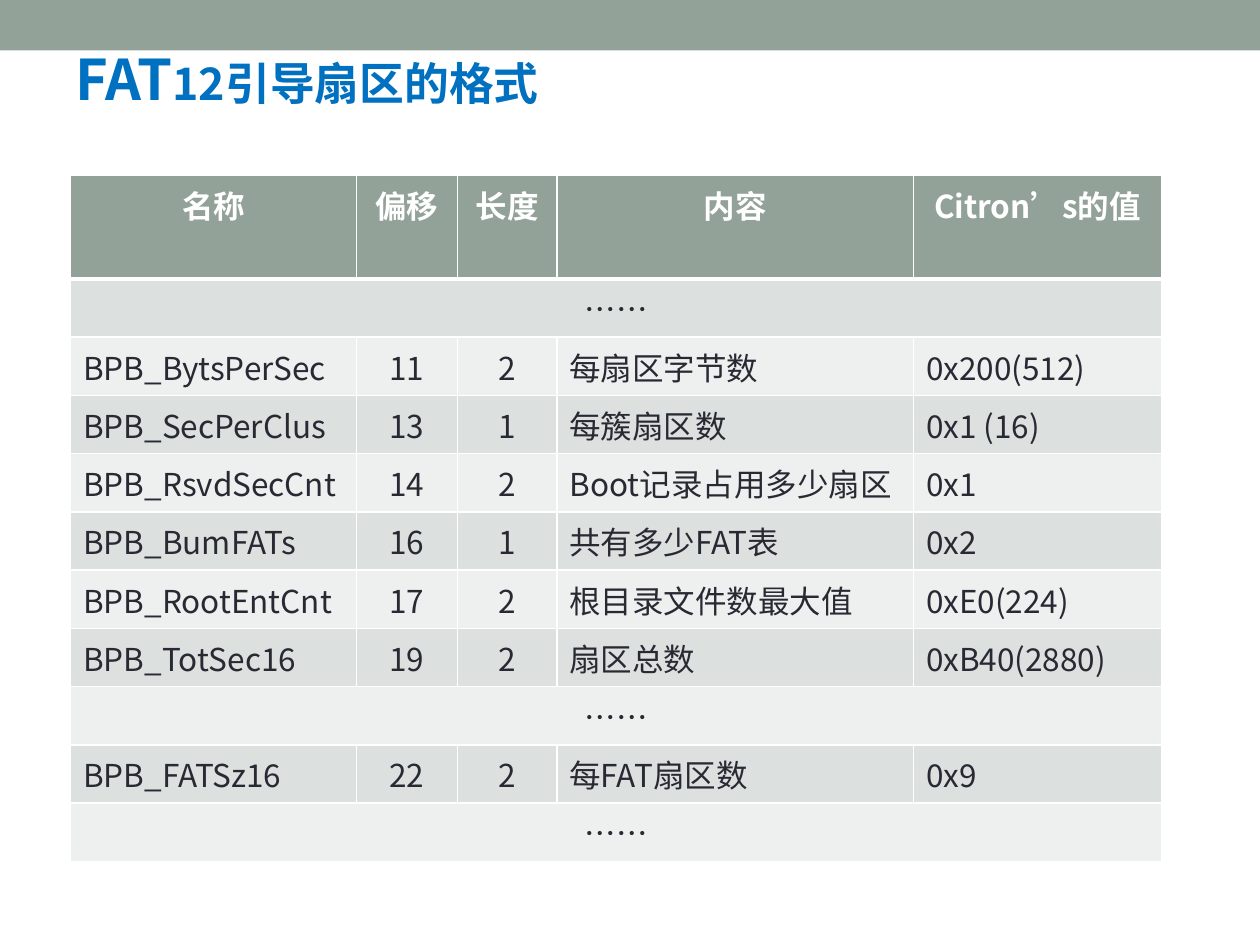
from lxml.etree import SubElement
from pptx import Presentation
from pptx.dml.color import RGBColor
from pptx.enum.shapes import MSO_SHAPE as Shape
from pptx.enum.text import MSO_ANCHOR as Anchor, MSO_AUTO_SIZE as AutoSize, PP_ALIGN as Align
from pptx.oxml.ns import qn
from pptx.util import Inches, Pt

WHITE = RGBColor(0xFF, 0xFF, 0xFF)
SAGE = RGBColor(0x93, 0xA2, 0x99)
BAND_DARK = RGBColor(0xDC, 0xE0, 0xDE)
BAND_LIGHT = RGBColor(0xEE, 0xF0, 0xEF)
INK = RGBColor(0x29, 0x29, 0x34)
BLUE = RGBColor(0x00, 0x70, 0xC0)

FONT = "Noto Sans CJK JP"
TITLE_FORMAT = {"name": FONT, "size": Pt(32), "bold": True}
HEADER_FORMAT = {"name": FONT, "size": Pt(18), "bold": True}
BODY_FORMAT = {"name": FONT, "size": Pt(18), "bold": False}

COLUMN_WIDTHS = [2.27, 0.8, 0.79, 2.83, 1.97]
ROW_HEIGHT = 0.41
CENTERED_COLUMNS = {1, 2}

HEADER = ["名称", "偏移", "长度", "内容", "Citron’s的值"]
OMITTED = ["……"]  # one entry spans the whole row
FIELDS = [
    OMITTED,
    ["BPB_BytsPerSec", "11", "2", "每扇区字节数", "0x200(512)"],
    ["BPB_SecPerClus", "13", "1", "每簇扇区数", "0x1 (16)"],
    ["BPB_RsvdSecCnt", "14", "2", "Boot记录占用多少扇区", "0x1"],
    ["BPB_BumFATs", "16", "1", "共有多少FAT表", "0x2"],
    ["BPB_RootEntCnt", "17", "2", "根目录文件数最大值", "0xE0(224)"],
    ["BPB_TotSec16", "19", "2", "扇区总数", "0xB40(2880)"],
    OMITTED,
    ["BPB_FATSz16", "22", "2", "每FAT扇区数", "0x9"],
    OMITTED,
]


def write_text(frame, text, font_format, color, align):
    paragraph = frame.paragraphs[0]
    paragraph.alignment = align
    run = paragraph.add_run()
    run.text = text
    for attribute, value in font_format.items():
        setattr(run.font, attribute, value)
    run.font.color.rgb = color
    properties = run.font._element
    SubElement(properties, qn("a:ea")).set("typeface", FONT)
    return properties


def add_top_band(slide, width):
    band = slide.shapes.add_shape(Shape.RECTANGLE, 0, 0, width, Inches(0.4))
    band.shadow.inherit = False
    band.fill.solid()
    band.fill.fore_color.rgb = SAGE
    band.line.fill.background()


def add_title(slide, text):
    title = slide.shapes.title
    title.left, title.top = Inches(0.5), Inches(0.3)
    title.width, title.height = Inches(8.17), Inches(1.25)
    frame_format = {"vertical_anchor": Anchor.TOP, "word_wrap": True, "auto_size": AutoSize.NONE}
    for attribute, value in frame_format.items():
        setattr(title.text_frame, attribute, value)
    properties = write_text(title.text_frame, text, TITLE_FORMAT, BLUE, Align.LEFT)
    properties.set("cap", "small")


def set_borders(cell, widths):
    """Draw white borders; widths maps each side to points."""
    properties = cell._tc.get_or_add_tcPr()
    for side, width in widths.items():
        border = SubElement(properties, qn(f"a:ln{side}"), w=str(Pt(width)))
        fill = SubElement(border, qn("a:solidFill"))
        SubElement(fill, qn("a:srgbClr"), val=str(WHITE))


def add_field_table(slide):
    rows = [HEADER] + FIELDS
    table = slide.shapes.add_table(
        len(rows), len(COLUMN_WIDTHS), Inches(0.56), Inches(1.39),
        Inches(sum(COLUMN_WIDTHS)), Inches(ROW_HEIGHT * len(rows)),
    ).table
    for column, width in zip(table.columns, COLUMN_WIDTHS):
        column.width = Inches(width)

    for row_index, entries in enumerate(rows):
        table.rows[row_index].height = Inches(ROW_HEIGHT)
        is_header = row_index == 0
        spans_row = entries is OMITTED
        band = SAGE if is_header else BAND_DARK if row_index % 2 else BAND_LIGHT
        borders = {"L": 1, "R": 1, "T": 3 if row_index == 1 else 1, "B": 3 if is_header else 1}

        # Borders come before the fill in the cell properties
        for cell in table.rows[row_index].cells:
            set_borders(cell, borders)
            cell.fill.solid()
            cell.fill.fore_color.rgb = band
        if spans_row:
            table.cell(row_index, 0).merge(table.cell(row_index, len(COLUMN_WIDTHS) - 1))

        for column_index, entry in enumerate(entries):
            centered = is_header or spans_row or column_index in CENTERED_COLUMNS
            write_text(
                table.cell(row_index, column_index).text_frame, entry,
                HEADER_FORMAT if is_header else BODY_FORMAT,
                WHITE if is_header else INK,
                Align.CENTER if centered else Align.LEFT,
            )


def main():
    deck = Presentation()
    deck.slide_width, deck.slide_height = Inches(10), Inches(7.5)
    slide = deck.slides.add_slide(deck.slide_layouts[5])  # title only
    add_top_band(slide, deck.slide_width)
    add_field_table(slide)
    add_title(slide, "FAT12引导扇区的格式")
    deck.save("out.pptx")


if __name__ == "__main__":
    main()
